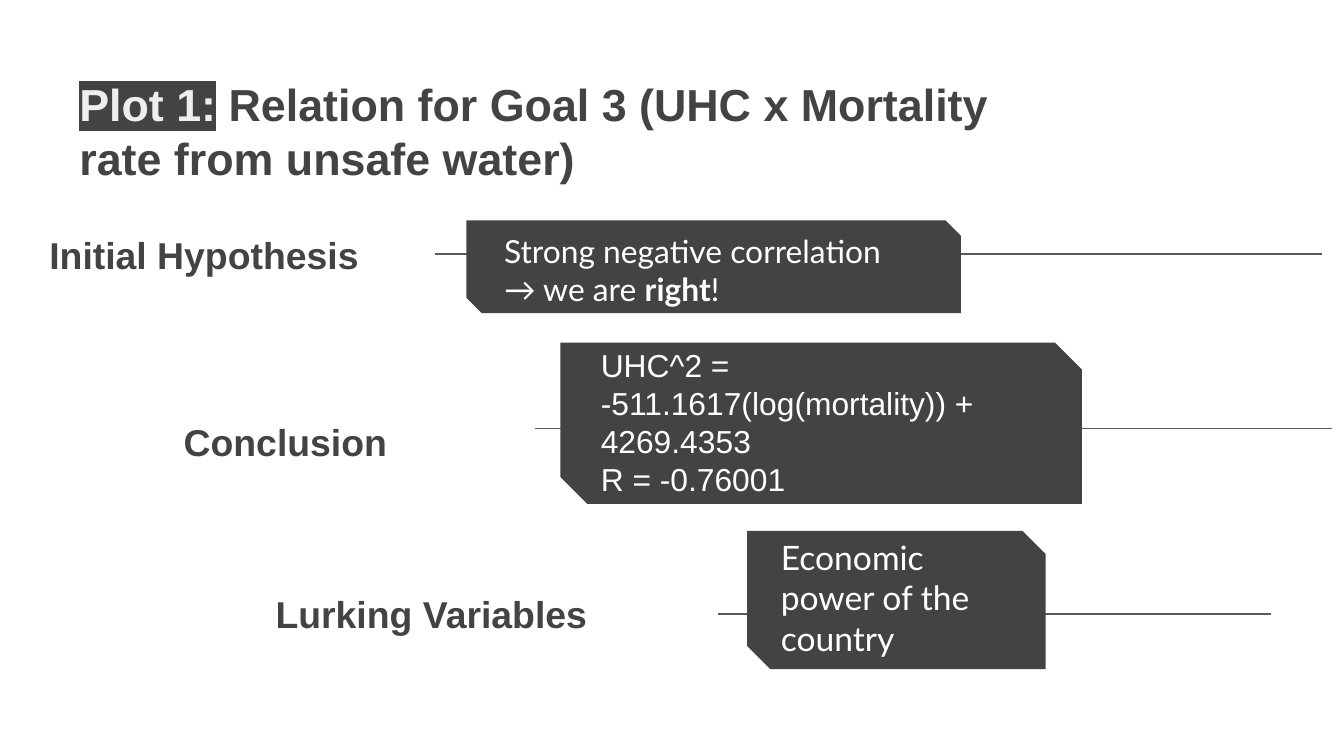
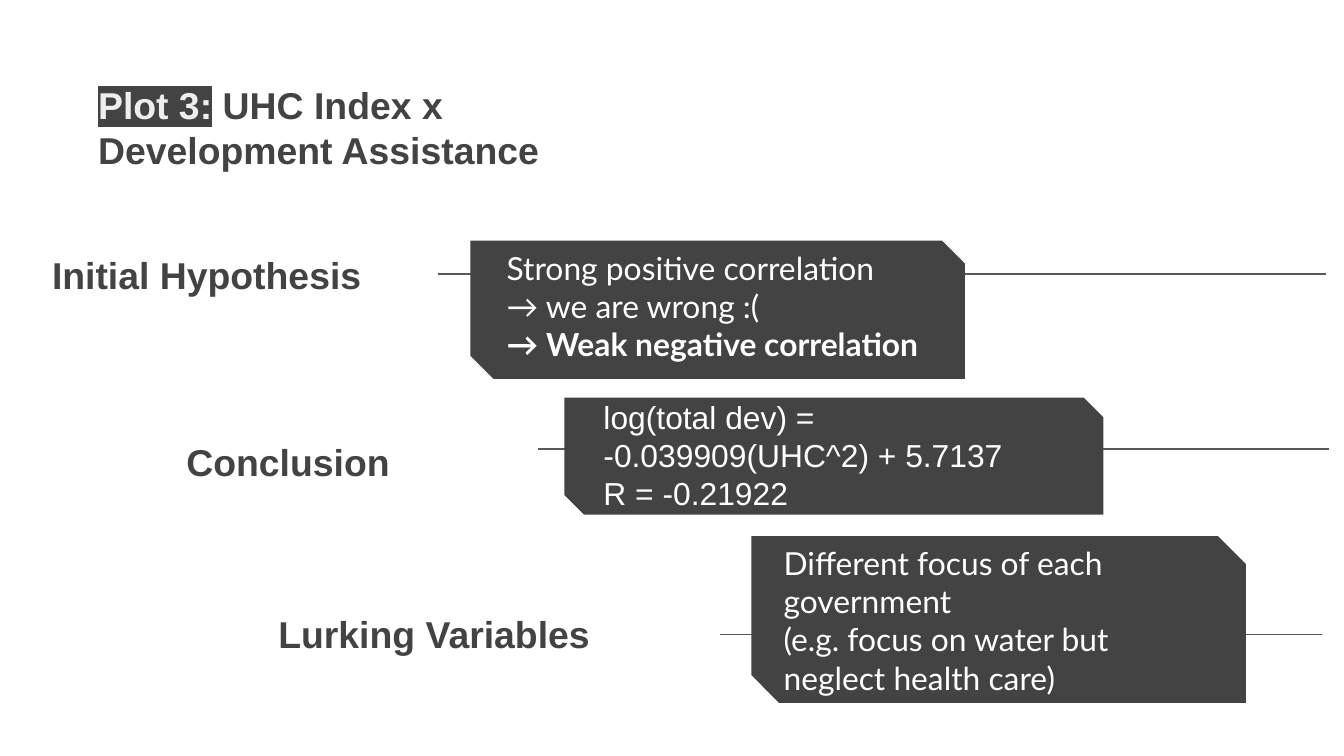
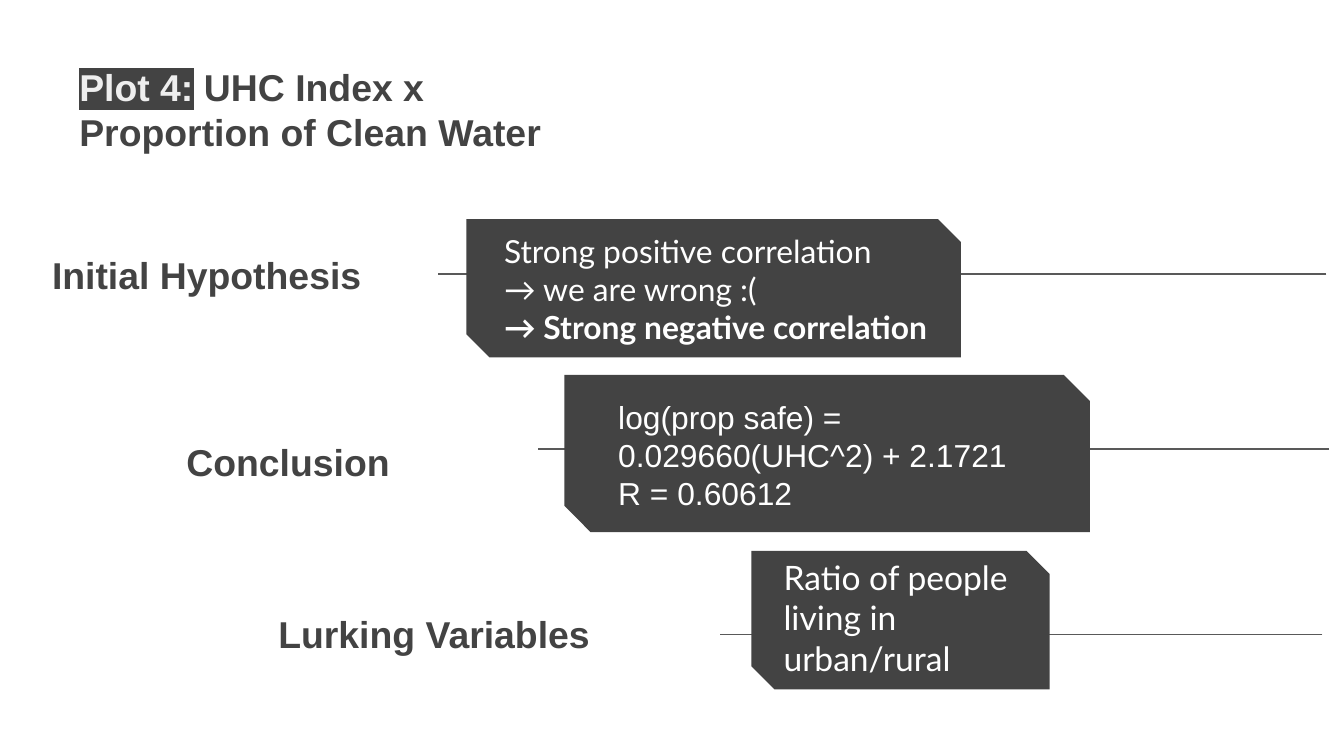
"""Build three slides that sum up plots of the UHC index."""
from lxml.etree import SubElement
from pptx import Presentation
from pptx.dml.color import RGBColor
from pptx.enum.shapes import MSO_CONNECTOR as LINK, MSO_SHAPE as SHAPE
from pptx.enum.text import MSO_ANCHOR as ANCHOR, MSO_AUTO_SIZE as AUTO, PP_ALIGN as ALIGN
from pptx.oxml.ns import qn
from pptx.util import Pt

PX = 9144
DARK = RGBColor(0x43, 0x43, 0x43)
GREY = RGBColor(0x59, 0x59, 0x59)
PALE = RGBColor(0xEE, 0xEE, 0xEE)
WHITE = RGBColor(0xFF, 0xFF, 0xFF)

LABELS = [
    ("Initial Hypothesis", (9, 148, 268, 83), 324, 189),
    ("Conclusion", (76, 287, 222, 83), 398, 319),
    ("Lurking Variables", (111, 415, 336, 83), 534, 457),
]

PLOTS = [
    {
        "tag": "Plot 1:", "title": [" Relation for Goal 3 (UHC x Mortality rate from unsafe water)"],
        "area": (49, 47, 741, 69), "size": 24, "shift": (0, 0), "ends": (984, 991, 946),
        "rows": [
            ((347, 164, 368, 69), (365, 170, 319, 62), "Lato", 17,
             ["Strong negative correlation", "→ we are *right*!"]),
            ((417, 255, 388, 120), (437, 266, 354, 96), "Arial", 17,
             ["UHC^2 = -511.1617(log(mortality)) + 4269.4353", "R = -0.76001"]),
            ((556, 395, 222, 103), (571, 403, 201, 83), "Lato", 18,
             ["Economic power of the country"]),
        ],
    },
    {
        "tag": "Plot 3:", "title": [" UHC Index x Development Assistance"],
        "area": (63, 51, 436, 69), "size": 20, "shift": (2, 15), "ends": (987, 989, 984),
        "rows": [
            ((350, 179, 368, 103), (367, 186, 336, 83), "Lato", 17,
             ["Strong positive correlation", "→ we are wrong :(", "*→ Weak negative correlation*"]),
            ((420, 296, 401, 87), (439, 295, 354, 87), "Arial", 17,
             ["log(total dev) = -0.039909(UHC^2) + 5.7137", "R = -0.21922"]),
            ((559, 399, 368, 124), (573, 420, 341, 83), "Lato", 17,
             ["Different focus of each government", "(e.g. focus on water but neglect health care)"]),
        ],
    },
    {
        "tag": "Plot 4:", "title": [" UHC Index x", "Proportion of Clean Water"],
        "area": (49, 38, 436, 114), "size": 20, "shift": (2, 15), "ends": (987, 989, 984),
        "rows": [
            ((347, 163, 368, 103), (365, 184, 350, 62), "Lato", 17,
             ["Strong positive correlation", "→ we are wrong :(", "*→ Strong negative correlation*"]),
            ((420, 279, 391, 117), (450, 292, 329, 93), "Arial", 17,
             ["log(prop safe) = 0.029660(UHC^2) + 2.1721", "R = 0.60612"]),
            ((559, 410, 222, 103), (573, 418, 201, 83), "Lato", 18,
             ["Ratio of people living in urban/rural"]),
        ],
    },
]


def place(item, area):
    """Move an item to an area given in px."""
    item.left, item.top, item.width, item.height = [n * PX for n in area]


def write(item, lines, face, size, ink, bold=False, align=ALIGN.LEFT, anchor=ANCHOR.MIDDLE):
    """Fill an item with paragraphs, with text between stars in bold."""
    frame = item.text_frame
    frame.word_wrap = True
    frame.auto_size = AUTO.NONE
    frame.vertical_anchor = anchor
    frame.margin_left = frame.margin_right = 10 * PX
    frame.margin_top = frame.margin_bottom = 10 * PX
    for n, line in enumerate(lines):
        para = frame.add_paragraph() if n else frame.paragraphs[0]
        props = para._p.get_or_add_pPr()
        props.set("marL", "0")
        props.set("indent", "0")
        SubElement(props, qn("a:buNone"))
        para.alignment = align
        para.space_before = Pt(0)
        para.line_spacing = 1.0
        font = para.font
        font.name, font.size, font.bold = face, Pt(size), bold
        font.color.rgb = ink
        for k, part in enumerate(line.split("*")):
            if part:
                run = para.add_run()
                run.text = part
                if k % 2:
                    run.font.bold = True


deck = Presentation()
deck.slide_width = 1000 * PX
deck.slide_height = deck.slide_width * 9 // 16

for plot in PLOTS:
    slide = deck.slides.add_slide(deck.slide_layouts[4])
    shapes = slide.shapes
    head, *notes, spare = slide.placeholders
    spare.element.getparent().remove(spare.element)

    place(head, plot["area"])
    first, *rest = plot["title"]
    write(head, [plot["tag"] + "*" + first + "*", *rest], "Arial", plot["size"], DARK, True,
          anchor=ANCHOR.TOP)
    tag = head.text_frame.paragraphs[0].runs[0]
    tag.font.color.rgb = PALE
    mark = SubElement(tag._r.get_or_add_rPr(), qn("a:highlight"))
    SubElement(mark, qn("a:srgbClr")).set("val", str(DARK))

    dx, dy = plot["shift"]
    for label, end, row, note in zip(LABELS, plot["ends"], plot["rows"], notes):
        name, (x, y, w, h), start, level = label
        box, area, face, size, lines = row

        level = (level + dy) * PX
        rule = shapes.add_connector(LINK.STRAIGHT, end * PX, level, (start + dx) * PX, level)
        rule.line.color.rgb = GREY
        rule.line.width = Pt(0.75)
        SubElement(rule.element.spPr, qn("a:effectLst"))

        side = shapes.add_textbox(0, 0, 0, 0)
        place(side, (x + dx, y + dy, w, h))
        write(side, [name], "Arial", 20, DARK, True, ALIGN.RIGHT)

        card = shapes.add_shape(SHAPE.SNIP_2_DIAG_RECTANGLE, *[n * PX for n in box])
        card.shadow.inherit = False
        card.fill.solid()
        card.fill.fore_color.rgb = DARK
        card.line.fill.background()

        place(note, area)
        write(note, lines, face, size, WHITE)
        card.element.addnext(note.element)

deck.save("out.pptx")
